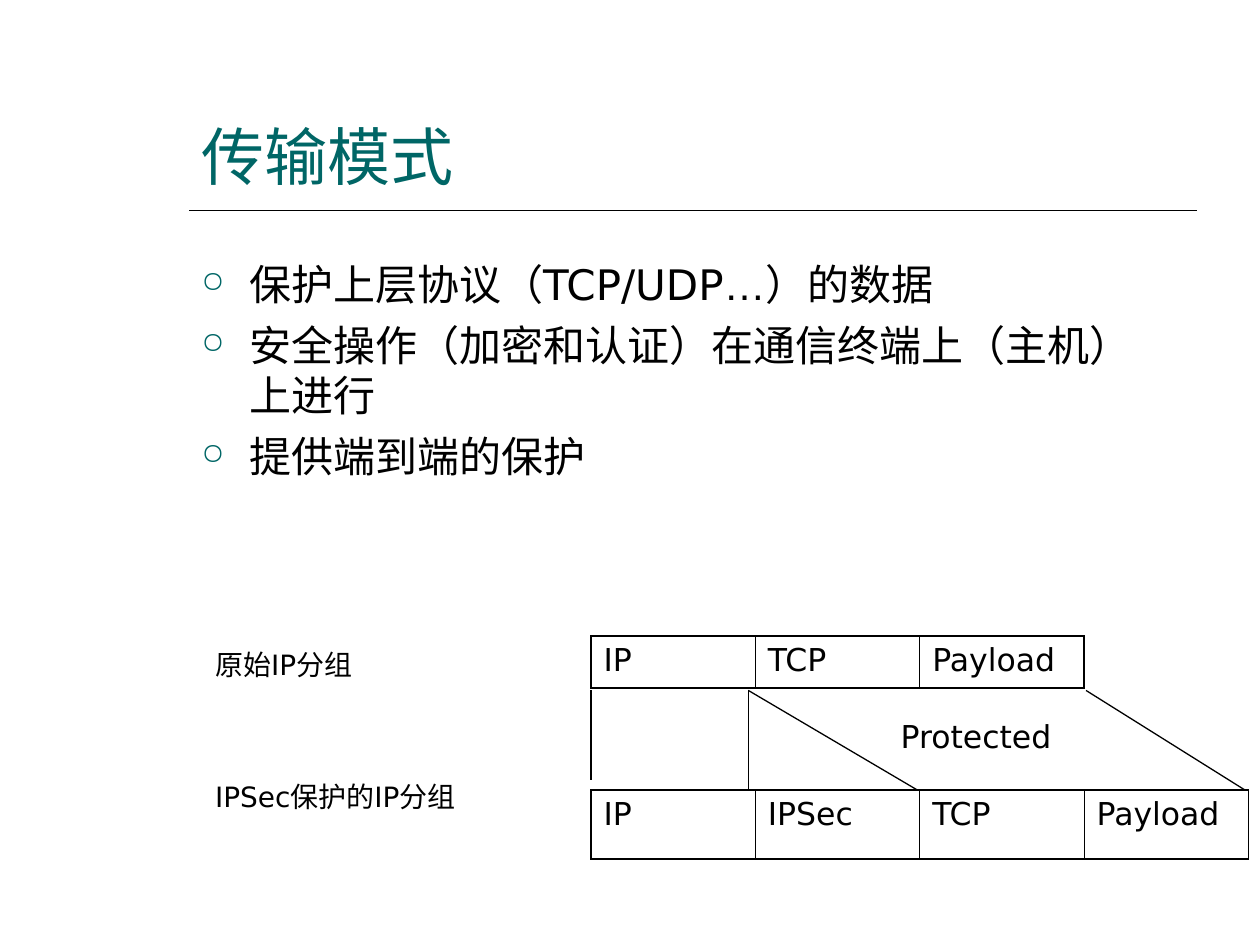
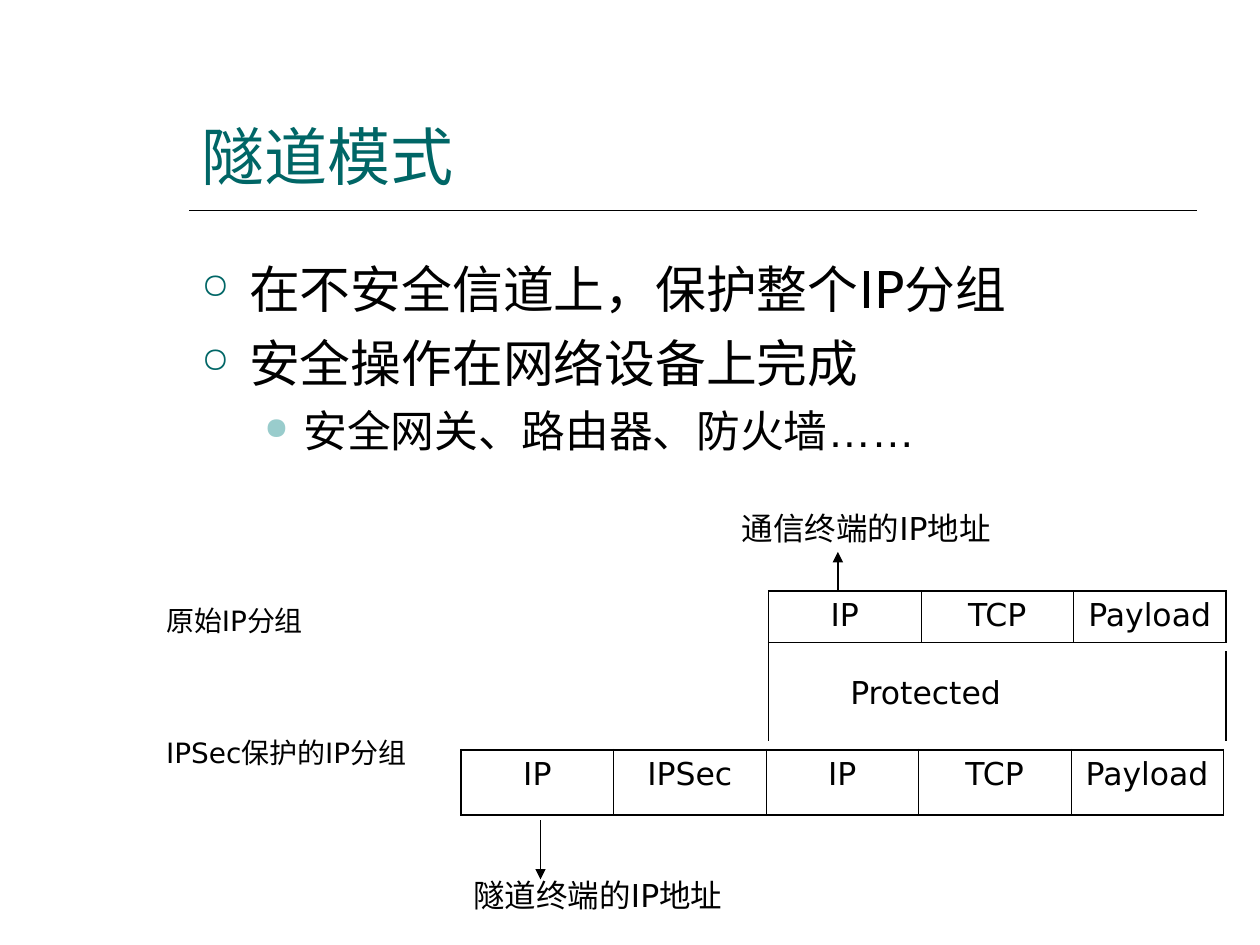
"""Build two slides on the IPSec transport and tunnel modes."""
from lxml import etree
from pptx import Presentation
from pptx.dml.color import RGBColor
from pptx.enum.shapes import MSO_CONNECTOR
from pptx.enum.text import MSO_ANCHOR, PP_ALIGN
from pptx.oxml import parse_xml
from pptx.oxml.ns import nsdecls, qn
from pptx.util import Inches, Pt

STRAIGHT = MSO_CONNECTOR.STRAIGHT
TOP, BOTTOM = MSO_ANCHOR.TOP, MSO_ANCHOR.BOTTOM
LEFT, CENTER = PP_ALIGN.LEFT, PP_ALIGN.CENTER
BLACK = RGBColor(0x00, 0x00, 0x00)
TEAL = RGBColor(0x00, 0x66, 0x66)
PALE_TEAL = RGBColor(0x99, 0xCC, 0xCC)
SANS, ARIAL = "DejaVu Sans", "Arial"
OUTER, INNER = 1.08, 0.45

BULLETS = [
    {"mark": "○", "color": TEAL, "margin": 0.38, "hang": 0.38},
    {"mark": "●", "color": PALE_TEAL, "margin": 0.81, "hang": 0.31},
]
ORIGINAL_LABEL, SECURED_LABEL = "原始IP分组", "IPSec保护的IP分组"
ORIGINAL = ["IP", "TCP", "Payload"]

SLIDES = [
    {
        "title": "传输模式",
        "body_size": (7.83, 2.07),
        "points": [
            (0, 24, 6, [("保护上层协议（TCP/UDP", SANS), ("…", ARIAL), ("）的数据", SANS)]),
            (0, 24, 6, [("安全操作（加密和认证）在通信终端上（主机）上进行", SANS)]),
            (0, 24, 6, [("提供端到端的保护", SANS)]),
        ],
        "label_left": 1.61,
        "label_top": 5.09,
        "packets": [
            (4.69, 5.05, 0.41, ORIGINAL),
            (4.69, 6.27, 0.55, ["IP", "IPSec", "TCP", "Payload"]),
        ],
        "field_width": 1.305,
        "field_align": LEFT,
        "guides": [
            (4.69, 5.48, 4.69, 6.19),
            (5.94, 5.48, 5.94, 6.27),
            (5.94, 5.48, 7.28, 6.27),
            (8.62, 5.48, 9.88, 6.27),
        ],
        "arrows": [],
        "notes": [("Protected", 7.05, 5.64, 1.73)],
    },
    {
        "title": "隧道模式",
        "body_size": (8, 1.75),
        "points": [
            (0, 29, 7.3, [("在不安全信道上，保护整个IP分组", SANS)]),
            (0, 29, 7.3, [("安全操作在网络设备上完成", SANS)]),
            (1, 25, 6.2, [("安全网关、路由器、防火墙", SANS), ("……", ARIAL)]),
        ],
        "label_left": 1.22,
        "label_top": 4.74,
        "packets": [
            (6.1, 4.69, 0.41, ORIGINAL),
            (3.66, 5.95, 0.52, ["IP", "IPSec"] + ORIGINAL),
        ],
        "field_width": 1.21,
        "field_align": CENTER,
        "guides": [(6.1, 5.09, 6.1, 5.88), (9.73, 5.17, 9.73, 5.88)],
        "arrows": [(6.65, 4.69, 6.65, 4.38), (4.29, 6.51, 4.29, 6.98)],
        "notes": [
            ("Protected", 6.65, 5.29, 1.73),
            ("通信终端的IP地址", 5.79, 3.99, 2.36),
            ("隧道终端的IP地址", 3.66, 6.9, 3.07),
        ],
    },
]


def write(paragraph, text, size=18, font=SANS, color=BLACK, align=LEFT, before=0):
    paragraph.alignment = align
    paragraph.space_before = Pt(before)
    run = paragraph.add_run()
    run.text = text
    run.font.size, run.font.name = Pt(size), font
    run.font.color.rgb = color
    east_asian = etree.SubElement(run.font._element, qn("a:ea"))
    east_asian.set("typeface", font)


def add_frame(slide, left, top, width, height, anchor=TOP):
    frame = slide.shapes.add_textbox(*map(Inches, (left, top, width, height))).text_frame
    frame.word_wrap = True
    frame.vertical_anchor = anchor
    return frame


def add_bullet(paragraph, mark, color, margin, hang):
    properties = paragraph._p.get_or_add_pPr()
    properties.set("marL", str(Inches(margin)))
    properties.set("indent", str(-Inches(hang)))
    for xml in (
        f'<a:buClr {nsdecls("a")}><a:srgbClr val="{color}"/></a:buClr>',
        f'<a:buSzPct {nsdecls("a")} val="70000"/>',
        f'<a:buChar {nsdecls("a")} char="{mark}"/>',
    ):
        properties.append(parse_xml(xml))


def add_points(slide, points, size):
    frame = add_frame(slide, 1.5, 2, *size)
    for index, (level, points_size, before, runs) in enumerate(points):
        paragraph = frame.add_paragraph() if index else frame.paragraphs[0]
        for text, font in runs:
            write(paragraph, text, size=points_size, font=font, before=before)
        add_bullet(paragraph, **BULLETS[level])


def add_line(slide, x1, y1, x2, y2, width=0.75, arrow=False):
    line = slide.shapes.add_connector(STRAIGHT, *map(Inches, (x1, y1, x2, y2)))
    line.line.color.rgb = BLACK
    line.line.width = Pt(width)
    if arrow:
        tail = etree.SubElement(line.line._get_or_add_ln(), qn("a:tailEnd"))
        tail.set("type", "triangle")
    etree.SubElement(line._element.spPr, qn("a:effectLst"))


def set_borders(cell, **widths):
    properties = cell._tc.get_or_add_tcPr()
    for index, (side, width) in enumerate(widths.items()):
        properties.insert(index, parse_xml(
            f'<a:ln{side} {nsdecls("a")} w="{Pt(width)}"><a:solidFill>'
            f'<a:srgbClr val="{BLACK}"/></a:solidFill></a:ln{side}>'))


def add_packet(slide, left, top, height, fields, field_width, align):
    size = (left, top, field_width * len(fields), height)
    table = slide.shapes.add_table(1, len(fields), *map(Inches, size)).table
    table.first_row = table.horz_banding = False
    last = len(fields) - 1
    for index, field in enumerate(fields):
        table.columns[index].width = Inches(field_width)
        cell = table.cell(0, index)
        cell.fill.background()
        write(cell.text_frame.paragraphs[0], field, align=align, before=4.5)
        set_borders(cell, L=INNER if index else OUTER,
                    R=INNER if index < last else OUTER, T=OUTER, B=OUTER)


def add_mode(prs, mode):
    slide = prs.slides.add_slide(prs.slide_layouts[6])
    add_line(slide, 1.5, 1.67, 9.5, 1.67, width=1)
    title = add_frame(slide, 1.5, 0.33, 8, 1.25, anchor=BOTTOM)
    write(title.paragraphs[0], mode["title"], size=36, font=ARIAL, color=TEAL)
    add_points(slide, mode["points"], mode["body_size"])

    left, top = mode["label_left"], mode["label_top"]
    for label, y, width, height in (
        (ORIGINAL_LABEL, top, 1.42, 0.37),
        (SECURED_LABEL, top + 1.05, 2.2, 0.64),
    ):
        frame = add_frame(slide, left, y, width, height)
        write(frame.paragraphs[0], label, size=16, before=10)

    for packet in mode["packets"]:
        add_packet(slide, *packet, mode["field_width"], mode["field_align"])
    for guide in mode["guides"]:
        add_line(slide, *guide)
    for arrow in mode["arrows"]:
        add_line(slide, *arrow, arrow=True)
    for note, x, y, width in mode["notes"]:
        write(add_frame(slide, x, y, width, 0.4).paragraphs[0], note, before=11.2)


def main():
    prs = Presentation()
    prs.slide_width, prs.slide_height = Inches(10), Inches(7.5)
    for mode in SLIDES:
        add_mode(prs, mode)
    prs.save("out.pptx")


if __name__ == "__main__":
    main()
